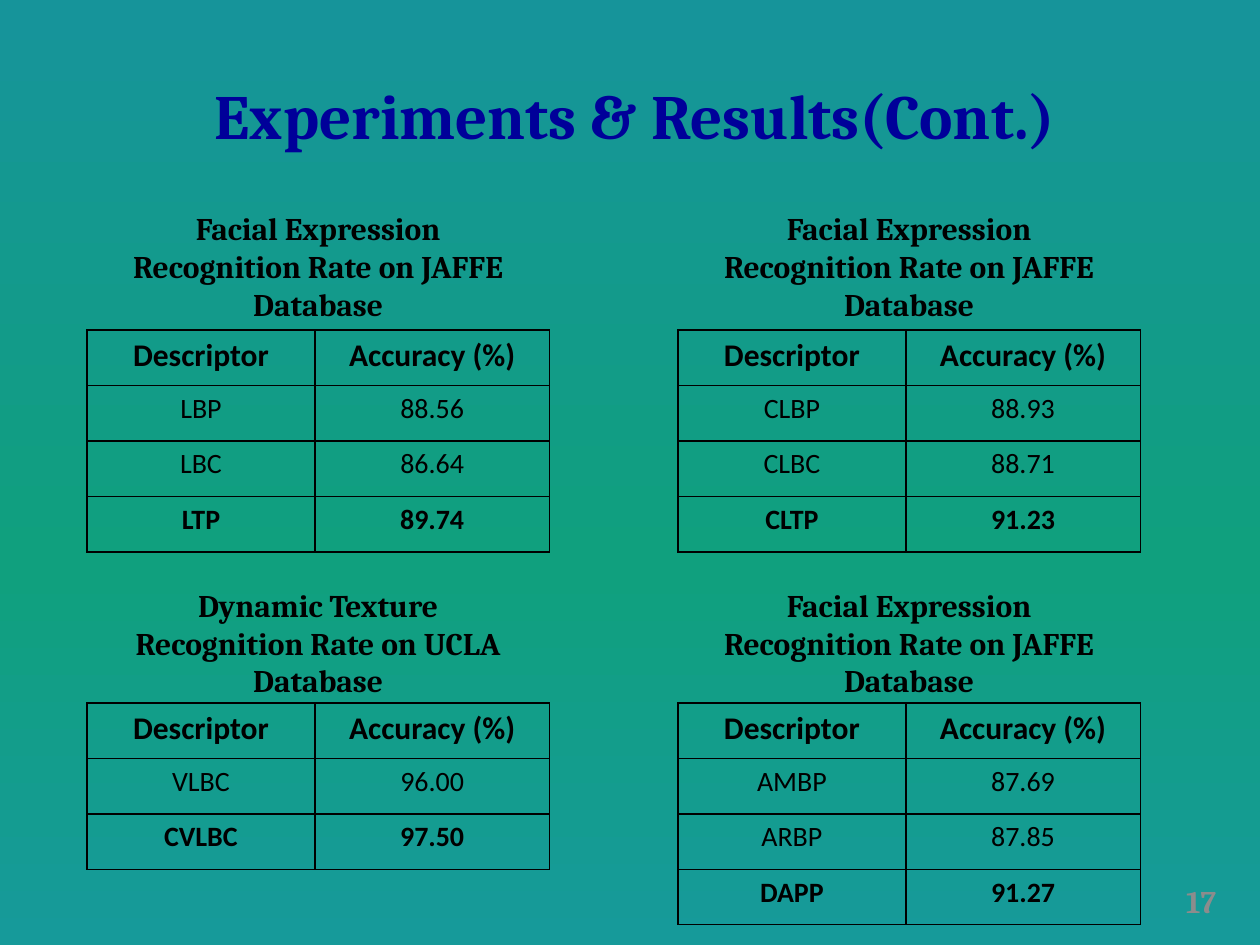
from lxml import etree
from pptx import Presentation, oxml
from pptx import util as u
from pptx.dml.color import RGBColor
from pptx.enum import text
from pptx.oxml import ns

BLACK = RGBColor(0x00, 0x00, 0x00)
NAVY = RGBColor(0x00, 0x00, 0x99)
GREY = RGBColor(0x8C, 0x8C, 0x8C)
BLUE_TEAL = RGBColor(0x16, 0x94, 0x9A)
GREEN = RGBColor(0x10, 0xA0, 0x7E)
TEAL = RGBColor(0x16, 0x9A, 0x9A)

CENTER, RIGHT = text.PP_ALIGN.CENTER, text.PP_ALIGN.RIGHT
TOP, MIDDLE = text.MSO_ANCHOR.TOP, text.MSO_ANCHOR.MIDDLE

HEADER = ("Descriptor", "Accuracy (%)")
JAFFE = "Facial Expression Recognition Rate on JAFFE Database"
UCLA = "Dynamic Texture Recognition Rate on UCLA Database"
LEFT_COL, RIGHT_COL = 0.69, 5.38
UPPER, LOWER = (1.61, 2.62), (4.6, 5.58)
PANELS = [
    (LEFT_COL, UPPER, JAFFE, [("LBP", "88.56"), ("LBC", "86.64"), ("LTP", "89.74")]),
    (RIGHT_COL, UPPER, JAFFE, [("CLBP", "88.93"), ("CLBC", "88.71"), ("CLTP", "91.23")]),
    (LEFT_COL, LOWER, UCLA, [("VLBC", "96.00"), ("CVLBC", "97.50")]),
    (RIGHT_COL, LOWER, JAFFE, [("AMBP", "87.69"), ("ARBP", "87.85"), ("DAPP", "91.27")]),
]


class Deck:
    col_widths = (1.81, 1.86)
    row_height = 0.44
    heading = {"name": "Cambria", "size": u.Pt(18), "bold": True}
    body = {"name": "Calibri", "size": u.Pt(16), "bold": False}

    def __init__(self, prs):
        self.s = prs.slides.add_slide(prs.slide_layouts[6])

    def background(self, stops):
        fill = self.s.background.fill
        fill.gradient()
        fill.gradient_angle = 270
        gs_list = self.s.element.find(".//" + ns.qn("a:gsLst"))
        for gs in list(gs_list):
            gs_list.remove(gs)
        for position, color in stops:
            gs = etree.SubElement(gs_list, ns.qn("a:gs"), pos=str(position * 1000))
            etree.SubElement(gs, ns.qn("a:srgbClr"), val=str(color))

    def paragraph(self, tf, words, color, align, **fmt):
        p = tf.paragraphs[0]
        p.alignment = align
        r = p.add_run()
        r.text = words
        for key, value in fmt.items():
            setattr(r.font, key, value)
        r.font.color.rgb = color
        return p

    def text(self, box, words, color=BLACK, align=CENTER, anchor=TOP, **fmt):
        sp = self.s.shapes.add_textbox(*map(u.Inches, box))
        tf = sp.text_frame
        tf.word_wrap = True
        tf.vertical_anchor = anchor
        return self.paragraph(tf, words, color, align, **{**self.heading, **fmt})

    def borders(self, cell):
        tc_pr = cell._tc.get_or_add_tcPr()
        for side in ("lnL", "lnR", "lnT", "lnB"):
            ln = etree.SubElement(tc_pr, ns.qn(f"a:{side}"), w="12700")
            solid = etree.SubElement(ln, ns.qn("a:solidFill"))
            etree.SubElement(solid, ns.qn("a:srgbClr"), val=str(BLACK))

    def table(self, left, top, rows):
        box = (left, top, sum(self.col_widths), self.row_height * len(rows))
        table = self.s.shapes.add_table(
            len(rows), len(self.col_widths), *map(u.Inches, box)).table
        table.first_row = table.horz_banding = False
        for column, width in zip(table.columns, self.col_widths):
            column.width = u.Inches(width)
        for i, row in enumerate(rows):
            table.rows[i].height = u.Inches(self.row_height)
            fmt = {**self.body, "bold": i in (0, len(rows) - 1)}
            if i == 0:
                fmt["size"] = u.Pt(18)
            for j, words in enumerate(row):
                cell = table.cell(i, j)
                self.borders(cell)
                cell.fill.background()
                self.paragraph(cell.text_frame, words, BLACK, CENTER, **fmt)


def main():
    prs = Presentation()
    prs.slide_width, prs.slide_height = u.Inches(10), u.Inches(7.5)
    deck = Deck(prs)
    deck.background([(0, BLUE_TEAL), (60, GREEN), (100, TEAL)])
    title = deck.text((0.73, 0.22, 8.62, 1.45), "Experiments & Results(Cont.)",
                      NAVY, anchor=MIDDLE, size=u.Pt(36))
    title.line_spacing = 0.9
    for left, (caption_top, table_top), caption, results in PANELS:
        deck.table(left, table_top, [HEADER, *results])
        deck.text((left + 0.18, caption_top, 3.31, 1.01), caption)
    deck.text((7.5, 6.95, 2.25, 0.4), "17", GREY, RIGHT, MIDDLE)
    prs.save("out.pptx")


if __name__ == "__main__":
    main()
